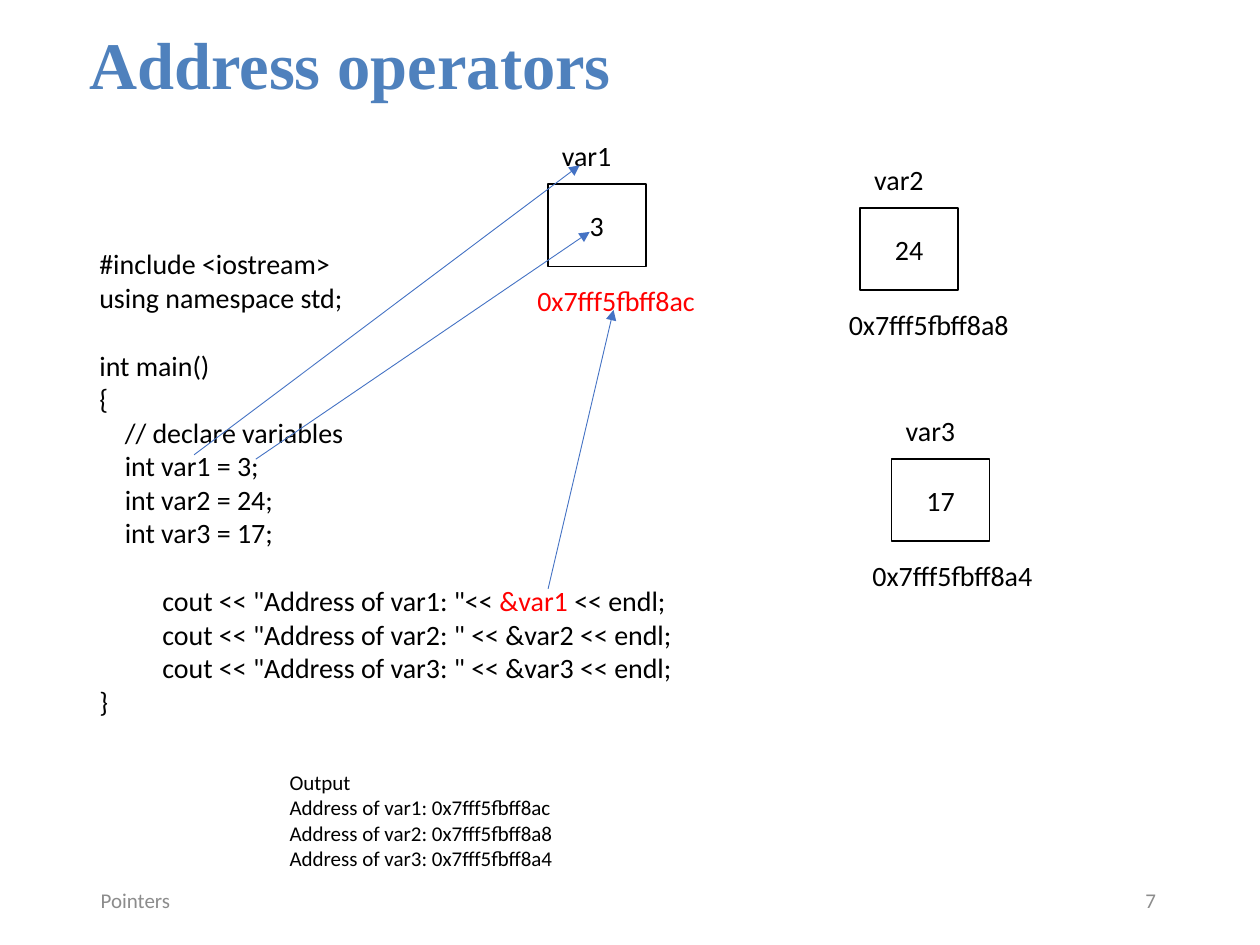
"""Build the slide on address operators in C++."""
from dataclasses import dataclass, field

from lxml import etree
from pptx import Presentation
from pptx.dml.color import RGBColor
from pptx.enum.shapes import MSO_CONNECTOR, MSO_SHAPE
from pptx.enum.text import MSO_ANCHOR, PP_ALIGN
from pptx.oxml.ns import qn
from pptx.slide import Slide
from pptx.util import Pt

STRAIGHT = MSO_CONNECTOR.STRAIGHT
RECTANGLE = MSO_SHAPE.RECTANGLE
TOP, MIDDLE = MSO_ANCHOR.TOP, MSO_ANCHOR.MIDDLE
LEFT, CENTER, RIGHT = PP_ALIGN.LEFT, PP_ALIGN.CENTER, PP_ALIGN.RIGHT

COLORS = {
    "title": "4F81BD",
    "footer": "8C8C8C",
    "text": "000000",
    "accent": "FF0000",
    "arrow": "4472C4",
    "box": "FFFFFF",
}
BLANK_LINE = 19.5
BODY_INDENT = 14.5
OUTPUT_INDENT = 36

CODE = [
    ("#include <iostream>", 0, 0),
    ("using namespace std;", 0, 0),
    ("int main()", 0, BLANK_LINE),
    ("{", 0, 0),
    ("// declare variables", BODY_INDENT, 0),
    ("int var1 = 3;", BODY_INDENT, 0),
    ("int var2 = 24;", BODY_INDENT, 0),
    ("int var3 = 17;", BODY_INDENT, 0),
    ('cout << "Address of var1: "<< |&var1 |<< endl;', OUTPUT_INDENT, BLANK_LINE),
    ('cout << "Address of var2: " << &var2 << endl;', OUTPUT_INDENT, 0),
    ('cout << "Address of var3: " << &var3 << endl;', OUTPUT_INDENT, 0),
    ("}", 0, 0),
]
VARIABLES = [
    ("var1", "3", "0x7fff5fbff8ac", 313, 105.3, -13, "accent"),
    ("var2", "24", "0x7fff5fbff8a8", 491.5, 118.8, -13.5, "text"),
    ("var3", "17", "0x7fff5fbff8a4", 509.5, 262.3, -18, "text"),
]
ARROWS = [
    (146.2, 262.4, 337, 132.5),
    (313.2, 336.5, 350.6, 177.1),
    (110.9, 259.9, 331.2, 94.5),
]


@dataclass
class SlideWriter:
    """Hold the style and the current slide."""

    slide: Slide
    font: str = "Calibri"
    size: float = 16
    colors: dict = field(default_factory=lambda: COLORS)

    def color(self, name):
        """Return the named colour."""
        return RGBColor.from_string(self.colors[name])

    def style(self, paragraph, color="text", size=None, font=None, bold=False):
        """Set the font of a paragraph."""
        paragraph.font.name = font or self.font
        paragraph.font.size = Pt(size or self.size)
        paragraph.font.bold = bold
        paragraph.font.color.rgb = self.color(color)

    def text(self, lines, left, top, width, height, shapes=None, anchor=TOP,
             align=LEFT, spacing=None, **style):
        """Add a text box with one paragraph per line."""
        shape = (shapes or self.slide.shapes).add_textbox(
            Pt(left), Pt(top), Pt(width), Pt(height))
        frame = shape.text_frame
        frame.word_wrap = True
        frame.vertical_anchor = anchor
        for index, line in enumerate(lines):
            paragraph = frame.add_paragraph() if index else frame.paragraphs[0]
            paragraph.text = line
            paragraph.alignment = align
            if spacing:
                paragraph.line_spacing = Pt(spacing)
            self.style(paragraph, **style)
        return frame

    def title(self, text):
        """Add the slide title."""
        frame = self.text([text], 51, 12.2, 492, 47, color="title", size=38,
                          font="Times New Roman", bold=True)
        frame.margin_left = frame.margin_right = frame.margin_bottom = 0
        frame.margin_top = Pt(1)

    def footer(self, text, left, align):
        """Add a footer text."""
        self.text([text], left, 500.4, 162, 28.8, anchor=MIDDLE, align=align,
                  spacing=14.1, color="footer", size=12)

    def code(self, lines, left, top, width, height):
        """Add a listing whose parts between bars are accented."""
        frame = self.text([""] * len(lines), left, top, width, height)
        for paragraph, (line, indent, gap) in zip(frame.paragraphs, lines):
            paragraph.space_before = Pt(gap)
            paragraph._p.get_or_add_pPr().set("marL", str(Pt(indent)))
            for index, part in enumerate(line.split("|")):
                run = paragraph.add_run()
                run.text = part
                if index % 2:
                    run.font.color.rgb = self.color("accent")

    def variable(self, name, value, address, left, top, shift, color):
        """Add a memory cell with its name above and its address below."""
        shapes = self.slide.shapes.add_group_shape().shapes
        box = shapes.add_shape(RECTANGLE, Pt(left), Pt(top), Pt(56), Pt(47))
        box.shadow.inherit = False
        box.fill.solid()
        box.fill.fore_color.rgb = self.color("box")
        box.line.color.rgb = self.color("text")
        box.line.width = Pt(1)
        box.text_frame.vertical_anchor = MIDDLE
        paragraph = box.text_frame.paragraphs[0]
        paragraph.text = value
        paragraph.alignment = CENTER
        self.style(paragraph)
        self.text([address], left + shift, top + 53.2, 127.5, 26.6, shapes, color=color)
        self.text([name], left + 1, top - 29.5, 60.5, 26.6, shapes)

    def arrow(self, *ends):
        """Add a thin arrow between two points."""
        connector = self.slide.shapes.add_connector(STRAIGHT, *map(Pt, ends))
        connector.line.color.rgb = self.color("arrow")
        connector.line.width = Pt(0.5)
        line = connector.line._get_or_add_ln()
        etree.SubElement(line, qn("a:tailEnd"), type="triangle")
        etree.SubElement(connector._element.spPr, qn("a:effectLst"))


def main():
    """Write the presentation."""
    presentation = Presentation()
    presentation.slide_width, presentation.slide_height = Pt(720), Pt(540)
    writer = SlideWriter(presentation.slides.add_slide(presentation.slide_layouts[6]))
    writer.title("Address operators")
    writer.footer("Pointers", 50.4, LEFT)
    writer.footer("7 ", 508.3, RIGHT)
    writer.code(CODE, 49.7, 137.5, 372, 278.6)
    output = [f"Address of {name}: {address}" for name, _, address, *_ in VARIABLES]
    writer.text(["Output", *output], 158.4, 436.3, 175.7, 65.5, size=12)
    for variable in VARIABLES:
        writer.variable(*variable)
    for arrow in ARROWS:
        writer.arrow(*arrow)
    presentation.save("out.pptx")


if __name__ == "__main__":
    main()
